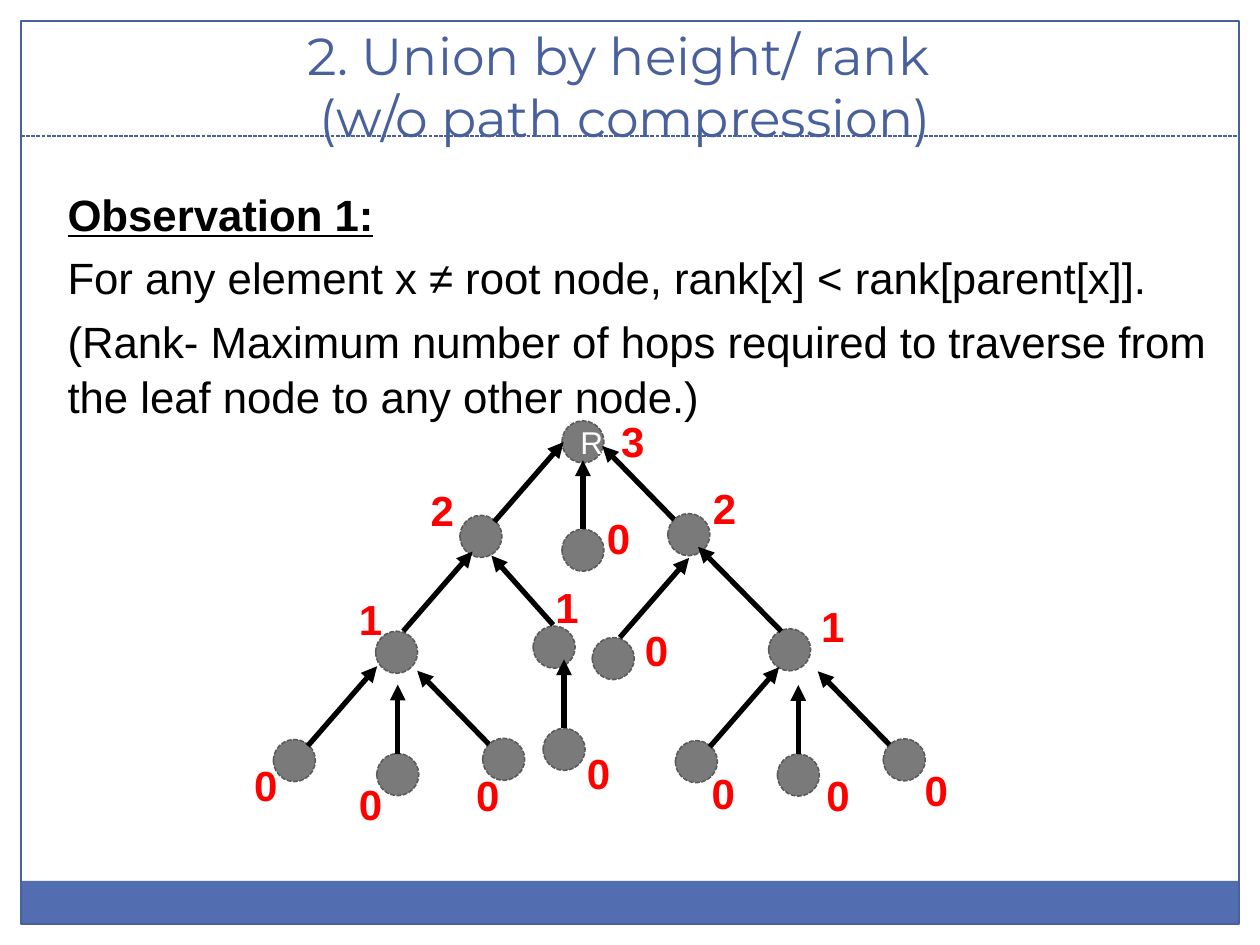
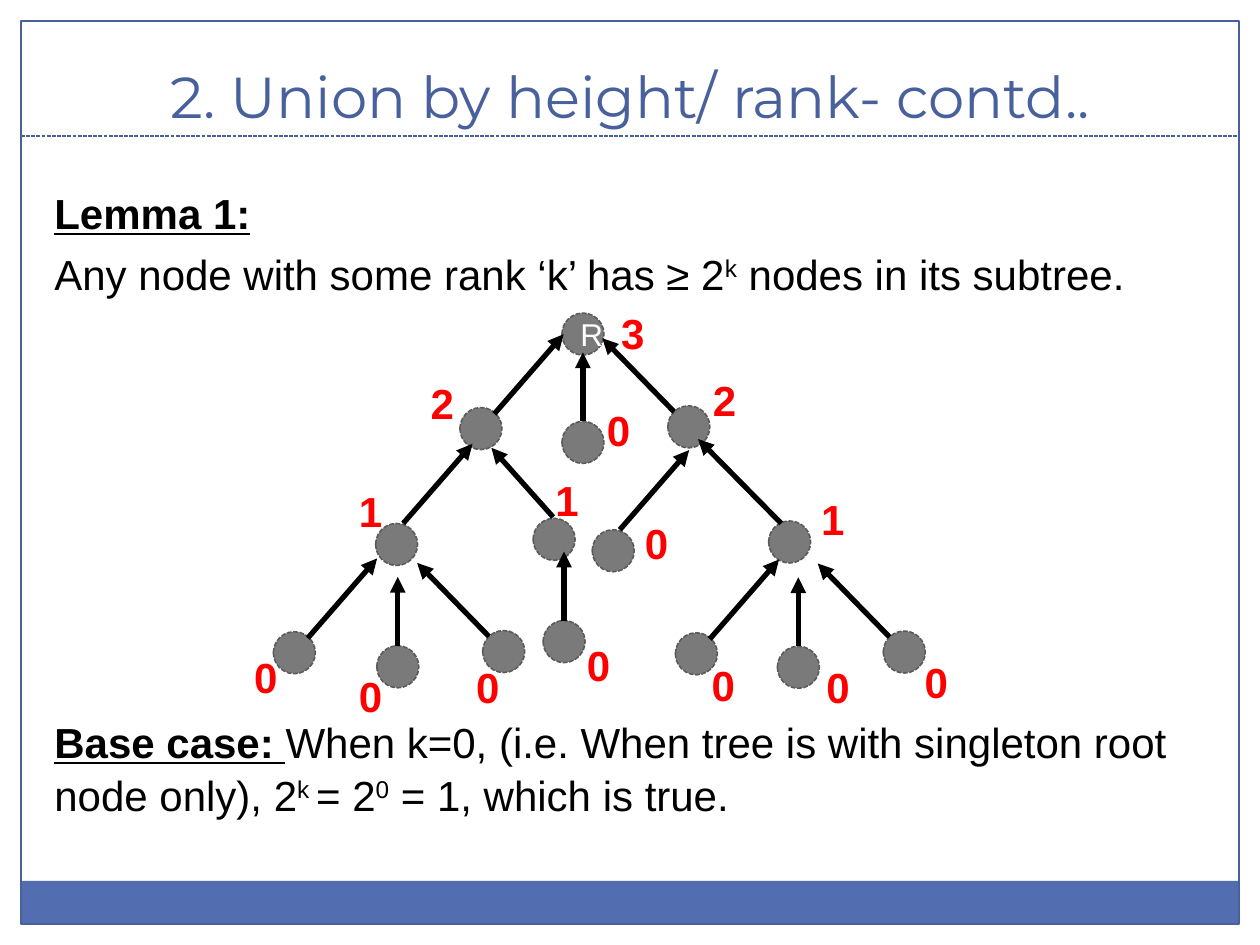
from lxml import etree
from pptx import Presentation
from pptx.dml.color import RGBColor
from pptx.enum import dml, shapes, text
from pptx.oxml import ns
from pptx.util import Pt

WHITE = RGBColor(0xFF, 0xFF, 0xFF)
BLACK = RGBColor(0, 0, 0)
RED = RGBColor(0xFF, 0, 0)
GRAY = RGBColor(0x7A, 0x7A, 0x7A)
EDGE = RGBColor(0x5A, 0x5A, 0x5A)
BLUE = RGBColor(0x48, 0x60, 0x9B)
BAND = RGBColor(0x52, 0x6D, 0xB0)

PLAIN, HEAD, SUPER = "plain", "head", "super"
NODE = 24

RIGHT = (19.7, 3.6, 39.6, -45.5)
LOW = (15.8, 0, 39.6, -45.5)
LEFT = (3.6, 3.4, -41, -42)
UP = (12, 0, 0, -39.4)
SHORT = (11.5, -0.7, -35.3, -39.6)
LONG = (7.2, 1.4, -47.5, -48.2)

TREE = [
    (183.1, 6.5, "3", 209.8, 0, None),
    (124.8, 60.5, "2", 101, 39.6, RIGHT),
    (183.1, 68.4, "0", 201.8, 55.4, UP),
    (243.6, 59.5, "2", 262.3, 38.2, LEFT),
    (76.6, 126.7, "1", 60, 101.5, LOW),
    (166.6, 123.8, "1", 172.3, 95, SHORT),
    (200.4, 130.3, "0", 223.4, 119.5, LOW),
    (301.2, 125.3, "1", 324.2, 105.8, LONG),
    (18.2, 188.6, "0", 0.2, 196.6, RIGHT),
    (77.3, 196.6, "0", 60, 207.4, UP),
    (137.8, 187.9, "0", 127, 202.3, LEFT),
    (172.3, 182.2, "0", 190.3, 189.4, UP),
    (247.9, 189.2, "0", 261.6, 200.9, RIGHT),
    (306.2, 196.9, "0", 327.1, 202.3, UP),
    (366.7, 188.2, "0", 383.3, 199.4, LEFT),
]


def box(*vals):
    return [Pt(v) for v in vals]


def style(font, size, color, name="Arial", bold=False):
    font.size, font.name, font.bold = Pt(size), name, bold
    font.color.rgb = color


def shape(group, kind, place, fill=None, edge=None, width=0.75):
    item = group.add_shape(kind, *box(*place))
    item.shadow.inherit = False
    if fill is None:
        item.fill.background()
    else:
        item.fill.solid()
        item.fill.fore_color.rgb = fill
    if edge is None:
        item.line.fill.background()
    else:
        item.line.color.rgb = edge
        item.line.width = Pt(width)
    return item


def line(group, start, end, color, width, arrow=False):
    item = group.add_connector(shapes.MSO_CONNECTOR.STRAIGHT, *box(*start, *end))
    item.line.color.rgb = color
    item.line.width = Pt(width)
    if arrow:
        tail = etree.SubElement(item.line._get_or_add_ln(), ns.qn("a:tailEnd"))
        tail.set("type", "triangle")
    etree.SubElement(item._element.spPr, ns.qn("a:effectLst"))
    return item


def frame(slide, left, top, width, height):
    rect = shapes.MSO_SHAPE.RECTANGLE
    shape(slide.shapes, rect, (left, top + height - 24.6, width, 24.6), BAND)
    shape(slide.shapes, rect, (left, top, width, height), edge=BLUE)
    rule = line(slide.shapes, (left, top + 65.8), (left + width, top + 65.8), BLUE, 0.75)
    rule.line.dash_style = dml.MSO_LINE.SQUARE_DOT


def title(slide, words, size, *place):
    area = slide.shapes.add_textbox(*box(*place)).text_frame
    area.word_wrap = True
    area.vertical_anchor = text.MSO_ANCHOR.BOTTOM
    area.text = words
    para = area.paragraphs[0]
    para.alignment = text.PP_ALIGN.CENTER
    for run in para.runs:
        style(run.font, size, BLUE, "Montserrat")


def body(slide, paras, size, *place):
    area = slide.shapes.add_textbox(*box(*place)).text_frame
    area.word_wrap = True
    for num, parts in enumerate(paras):
        para = area.add_paragraph() if num else area.paragraphs[0]
        para.line_spacing = 1.05
        para.space_before = Pt(size * 0.2 if num else 0)
        for words, kind in parts:
            run = para.add_run()
            run.text = words
            style(run.font, size, BLACK, bold=kind == HEAD)
            run.font.underline = kind == HEAD
            if kind == SUPER:
                run._r.get_or_add_rPr().set("baseline", "30000")


def label(group, words, left, top):
    area = group.add_textbox(*box(left, top, 28, 36)).text_frame
    area.word_wrap = False
    area.text = words
    style(area.paragraphs[0].runs[0].font, 24, RED, bold=True)


def tree(slide, left, top):
    group = slide.shapes.add_group_shape().shapes
    for x, y, rank, tag_x, tag_y, link in TREE:
        x, y = left + x, top + y
        node = shape(group, shapes.MSO_SHAPE.OVAL, (x, y, NODE, NODE), GRAY, EDGE, 0.9)
        node.line.dash_style = dml.MSO_LINE.SQUARE_DOT
        if link:
            dx, dy, run, rise = link
            start = x + dx, y + dy
            line(group, start, (start[0] + run, start[1] + rise), BLACK, 3, True)
        else:
            node.text_frame.text = "R"
            para = node.text_frame.paragraphs[0]
            para.alignment = text.PP_ALIGN.CENTER
            style(para.runs[0].font, 18, WHITE)
        label(group, rank, left + tag_x, top + tag_y)


def start(deck):
    slide = deck.slides.add_slide(deck.slide_layouts[6])
    frame(slide, 12, 12, 696, 516)
    return slide


def first(deck):
    slide = start(deck)
    title(slide, "2. Union by height/ rank \v(w/o path compression)", 29.7, 9.4, 28, 696, 60)
    body(slide, [
        [("Observation 1:", HEAD)],
        [("For any element x ≠ root node, rank[x] < rank[parent[x]].", PLAIN)],
        [("(Rank- Maximum number of hops required to traverse from "
          "the leaf node to any other node.)", PLAIN)],
    ], 25, 31.5, 102, 682.5, 132)
    tree(slide, 138, 234)


def second(deck):
    slide = start(deck)
    title(slide, "2. Union by height/ rank- contd..", 33, 24, 18, 672, 60)
    body(slide, [
        [("Lemma 1:", HEAD)],
        [("Any node with some rank ‘k’ has ≥ 2", PLAIN), ("k", SUPER),
         (" nodes in its subtree.", PLAIN)],
    ], 24, 24, 102, 684, 70)
    tree(slide, 138, 172.4)
    body(slide, [
        [("Base case: ", HEAD),
         ("When k=0, (i.e. When tree is with singleton root node only), 2", PLAIN),
         ("k ", SUPER), ("= 2", PLAIN), ("0", SUPER), (" = 1, which is true.", PLAIN)],
    ], 24, 24, 404.5, 684, 66)


def main():
    deck = Presentation()
    deck.slide_width, deck.slide_height = box(720, 540)
    first(deck)
    second(deck)
    deck.save("out.pptx")


if __name__ == "__main__":
    main()
